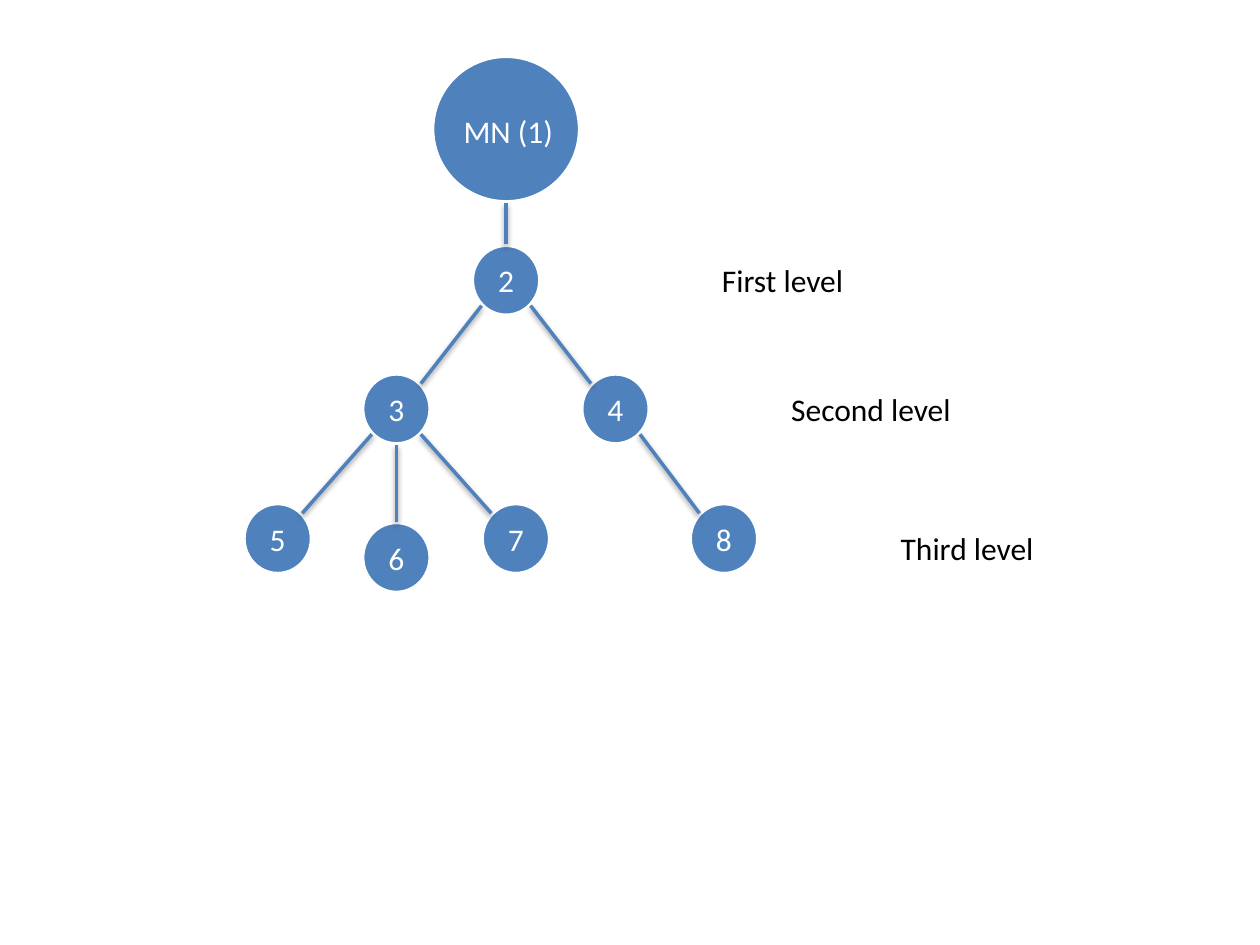
"""Build a slide with a numbered node tree and its level labels."""
from dataclasses import dataclass
from math import sqrt

from pptx import Presentation
from pptx.dml.color import RGBColor
from pptx.enum.shapes import MSO_CONNECTOR as Connector, MSO_SHAPE as Shape
from pptx.enum.text import MSO_ANCHOR as Anchor, PP_ALIGN as Align
from pptx.util import Pt

BLUE = RGBColor(0x4F, 0x81, 0xBD)
WHITE = RGBColor(0xFF, 0xFF, 0xFF)
BLACK = RGBColor(0x00, 0x00, 0x00)
FONT = "Calibri"
LABEL_HEIGHT = 29


@dataclass(frozen=True)
class Node:
    text: str
    x: float
    y: float
    width: float = 39.6
    height: float = 41


@dataclass(frozen=True)
class Label:
    text: str
    left: float
    top: float
    width: float
    color: RGBColor = BLACK


ROOT = Node("", 289.2, 73.8, 85, 84.2)
TWO = Node("2", 289.2, 160.2)
THREE = Node("3", 226.5, 233.7)
FOUR = Node("4", 351.7, 233.7)
FIVE = Node("5", 158.7, 307.8)
SIX = Node("6", 226.5, 318.6)
SEVEN = Node("7", 294.8, 307.8)
EIGHT = Node("8", 413.7, 307.8)
NODES = [ROOT, TWO, THREE, FOUR, FIVE, SIX, SEVEN, EIGHT]
EDGES = [(ROOT, TWO), (TWO, FOUR), (FOUR, EIGHT), (TWO, THREE),
         (THREE, FIVE), (THREE, SEVEN), (THREE, SIX)]
LABELS = [
    Label("MN (1)", 257.8, 60.5, 66.2, WHITE),
    Label("First level", 405.4, 145.6, 85.7),
    Label("Second level", 445, 219, 107.3),
    Label("Third level", 507.6, 298.3, 91.4),
]


def write_text(frame, text: str, *, color: RGBColor, align: Align = Align.LEFT,
               wrap: bool = True, size: float = 18) -> None:
    frame.word_wrap = wrap
    frame.vertical_anchor = Anchor.MIDDLE
    paragraph = frame.paragraphs[0]
    paragraph.alignment = align
    run = paragraph.add_run()
    run.text = text
    run.font.name = FONT
    run.font.size = Pt(size)
    run.font.color.rgb = color


def draw_node(slide, node: Node) -> None:
    shape = slide.shapes.add_shape(
        Shape.OVAL, Pt(node.x - node.width / 2), Pt(node.y - node.height / 2),
        Pt(node.width), Pt(node.height))
    shape.shadow.inherit = False
    shape.fill.solid()
    shape.fill.fore_color.rgb = BLUE
    shape.line.color.rgb = WHITE
    shape.line.width = Pt(3)
    if node.text:
        write_text(shape.text_frame, node.text, color=WHITE, align=Align.CENTER)


def rim_point(node: Node, side: int, down: int) -> tuple[Pt, Pt]:
    scale = sqrt(0.5) if side else 1
    return (Pt(node.x + side * scale * node.width / 2),
            Pt(node.y + down * scale * node.height / 2))


def draw_edge(slide, parent: Node, child: Node) -> None:
    side = (child.x > parent.x) - (child.x < parent.x)
    connector = slide.shapes.add_connector(
        Connector.STRAIGHT, *rim_point(parent, side, 1), *rim_point(child, -side, -1))
    connector.line.color.rgb = BLUE
    connector.line.width = Pt(2)


def draw_label(slide, label: Label) -> None:
    box = slide.shapes.add_textbox(
        Pt(label.left), Pt(label.top), Pt(label.width), Pt(LABEL_HEIGHT))
    write_text(box.text_frame, label.text, color=label.color, wrap=False)


def main() -> None:
    presentation = Presentation()
    presentation.slide_width, presentation.slide_height = Pt(720), Pt(540)
    slide = presentation.slides.add_slide(presentation.slide_layouts[6])
    for node in NODES:
        draw_node(slide, node)
    for parent, child in EDGES:
        draw_edge(slide, parent, child)
    for label in LABELS:
        draw_label(slide, label)
    presentation.save("out.pptx")


main()
